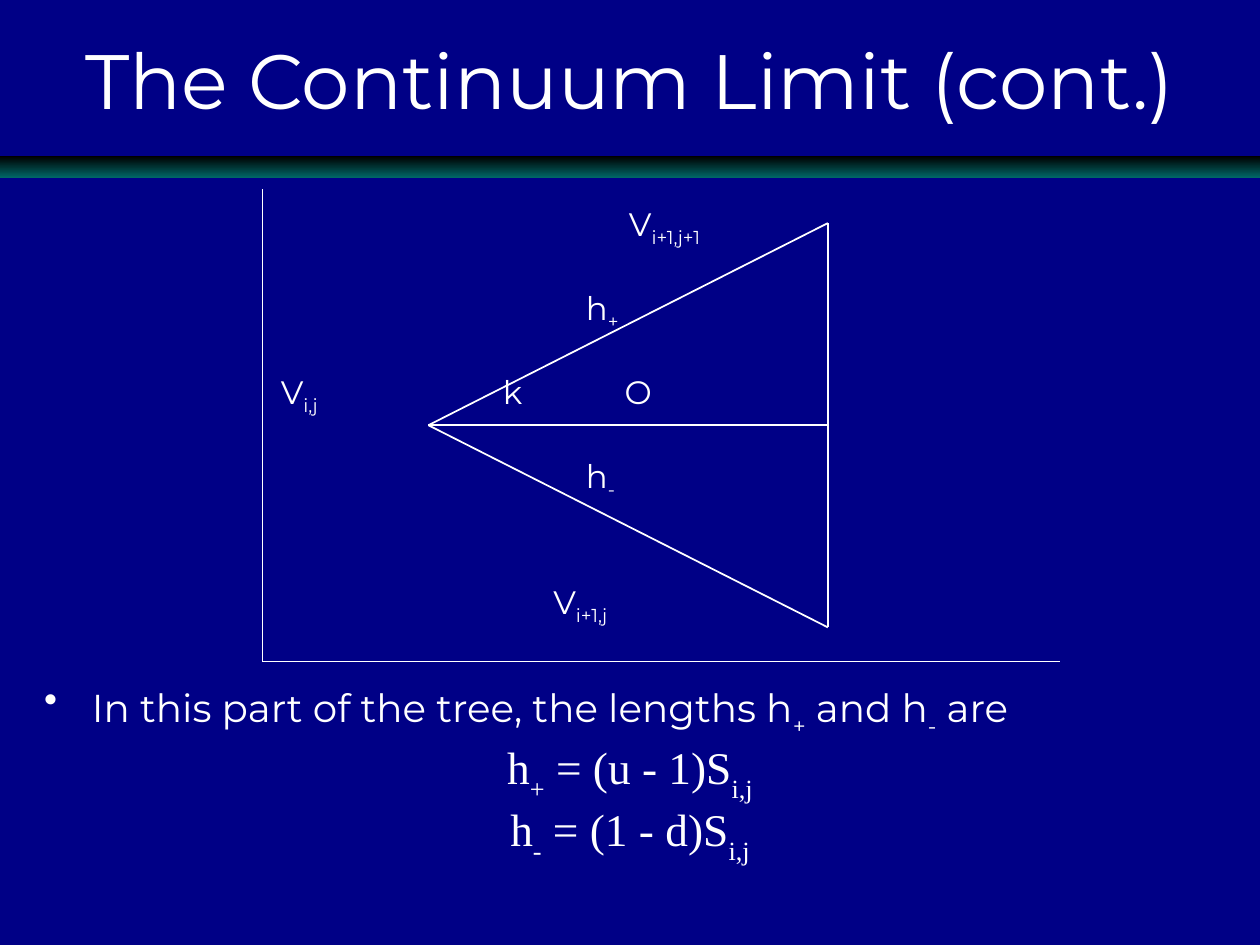
from lxml import etree
from pptx import Presentation
from pptx.dml.color import RGBColor
from pptx.enum.shapes import MSO_CONNECTOR, MSO_SHAPE
from pptx.enum.text import MSO_ANCHOR, PP_ALIGN
from pptx.oxml.ns import qn
from pptx.util import Inches, Pt

STRAIGHT, RECTANGLE = MSO_CONNECTOR.STRAIGHT, MSO_SHAPE.RECTANGLE
MIDDLE, TOP = MSO_ANCHOR.MIDDLE, MSO_ANCHOR.TOP
LEFT, CENTER = PP_ALIGN.LEFT, PP_ALIGN.CENTER

THEME = {
    "background": RGBColor(0x00, 0x00, 0x86),
    "ink": RGBColor(0xFF, 0xFF, 0xFF),
    "band": (RGBColor(0x00, 0x00, 0x00), RGBColor(0x00, 0x66, 0x66)),
    "sans": "Montserrat", "serif": "Times New Roman",
    "title": 44, "label": 18.5, "body": 22.2, "formula": 25.9,
}

deck = Presentation()
deck.slide_width, deck.slide_height = Inches(10), Inches(7.5)
slide = deck.slides.add_slide(deck.slide_layouts[6])
slide.background.fill.solid()
slide.background.fill.fore_color.rgb = THEME["background"]

# Grid of 120 columns by 90 rows with square cells
CELL = deck.slide_width / 120


def add_frame(x, y, width, height, anchor=TOP, wrap=True):
    box = slide.shapes.add_textbox(*(round(n * CELL) for n in (x, y, width, height)))
    frame = box.text_frame
    settings = {"word_wrap": wrap, "vertical_anchor": anchor, "margin_left": 0,
                "margin_right": 0, "margin_top": 0, "margin_bottom": 0}
    for key, value in settings.items():
        setattr(frame, key, value)
    return frame


def write(paragraph, marked, size, font="sans", align=LEFT, drop=-25):
    """Underscores switch between normal text and subscript."""
    paragraph.alignment = align
    for index, piece in enumerate(marked.split("_")):
        run = paragraph.add_run()
        run.text = piece
        run.font.name, run.font.size = THEME[font], Pt(THEME[size])
        run.font.color.rgb = THEME["ink"]
        if index % 2:
            run.font._element.set("baseline", str(drop * 1000))


# Band under the title
band = slide.shapes.add_shape(RECTANGLE, 0, round(14.88 * CELL),
                              deck.slide_width, round(2.04 * CELL))
band.shadow.inherit = False
band.line.fill.background()
band.fill.gradient()
band.fill.gradient_angle = 270
for stop, position, color in zip(band.fill.gradient_stops, (0, 1), THEME["band"]):
    stop.position, stop.color.rgb = position, color

# Title
title = add_frame(0, 0, 120, 15, MIDDLE)
write(title.paragraphs[0], "The Continuum Limit (cont.)", "title", align=CENTER)

# Axes and the two-branch tree
origin, axis_top, axis_end = (25, 63), (25, 18), (101, 63)
node, up, middle, down = (40.8, 40.5), (78.85, 21.25), (78.85, 40.5), (78.85, 59.75)
edges = [(axis_top, origin), (origin, axis_end), (node, up), (node, down),
         (node, middle), (up, down)]
for start, end in edges:
    edge = slide.shapes.add_connector(STRAIGHT, *(round(n * CELL) for n in start + end))
    edge.line.color.rgb, edge.line.width = THEME["ink"], Pt(1)
    etree.SubElement(edge._element.spPr, qn("a:effectLst"))

# Tree labels: column, text row, text
LABEL_TOP, LABEL_ROW = 19.4, 4
labels = [(59.9, 0, "V_i+1,j+1"), (55.8, 2, "h_+"), (26.75, 4, "V_i,j"),
          (47.9, 4, "k"), (59.5, 4, "O"), (55.8, 6, "h_-"), (52.7, 9, "V_i+1,j")]
for column, row, text in labels:
    label = add_frame(column, LABEL_TOP + row * LABEL_ROW, 10, LABEL_ROW, wrap=False)
    write(label.paragraphs[0], text, "label")

# Statement and formulas: text, size, font, alignment, space before
body = add_frame(4.2, 65.5, 111.6, 17)
lines = [("In this part of the tree, the lengths h_+_ and h_-_ are", "body", "sans", LEFT, 0),
         ("h_+_ = (u - 1)S_i,j", "formula", "serif", CENTER, 7),
         ("h_-_ = (1 - d)S_i,j", "formula", "serif", CENTER, 6)]
for index, (text, size, font, align, gap) in enumerate(lines):
    paragraph = body.add_paragraph() if index else body.paragraphs[0]
    write(paragraph, text, size, font, align, drop=-30)
    paragraph.line_spacing, paragraph.space_before = 0.8, Pt(gap)

# Bullet with a hanging indent on the statement
statement = body.paragraphs[0]._p.get_or_add_pPr()
hang = Inches(0.38)
statement.set("marL", str(hang))
statement.set("indent", str(-hang))
etree.SubElement(statement, qn("a:buChar")).set("char", "•")

deck.save("out.pptx")
